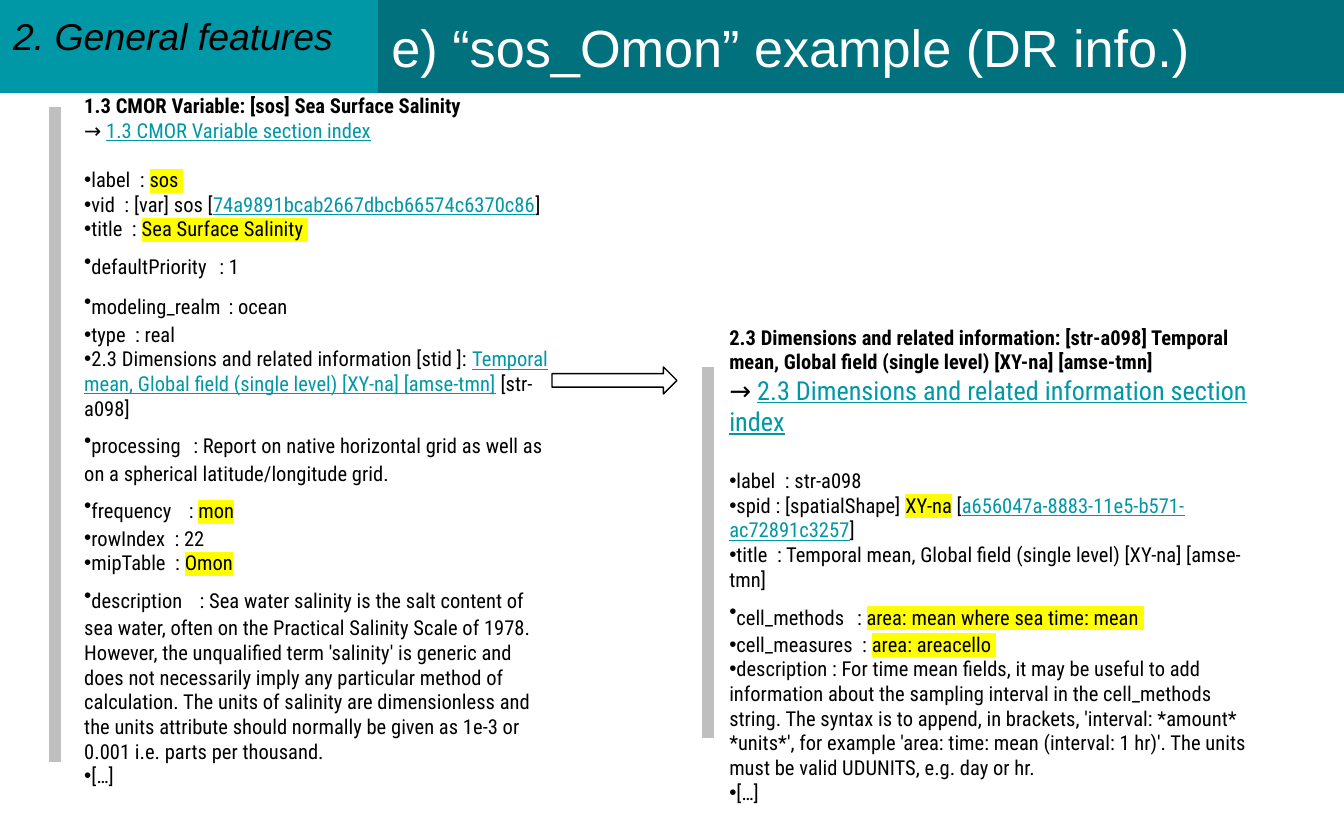
import pptx
import pptx.dml.color
import pptx.enum.shapes
import pptx.enum.text
import pptx.oxml.ns
import pptx.util
from lxml import etree

RGBColor = pptx.dml.color.RGBColor
BLACK = RGBColor(0x00, 0x00, 0x00)
WHITE = RGBColor(0xFF, 0xFF, 0xFF)
TEAL = RGBColor(0x00, 0x97, 0xA7)
DARK_TEAL = RGBColor(0x00, 0x71, 0x7D)
GREY = RGBColor(0xBF, 0xBF, 0xBF)
YELLOW = RGBColor(0xFF, 0xFF, 0x00)

BODY_FONT = "Roboto Condensed"
TITLE_FONT = "Arial"
BODY_SIZE = 11
WIDE_SIZE = 18
PLAIN, BOLD, LINK, MARK, WIDE = "plain", "bold", "link", "mark", "wide"
GAP = (" ", WIDE)

VARIABLE_INDEX = [("→ ", PLAIN), ("1.3 CMOR Variable section index", LINK)]
VARIABLE_ITEMS = [
    [("label  : ", PLAIN), ("sos ", MARK)],
    [("vid  : [var] sos [", PLAIN), ("74a9891bcab2667dbcb66574c6370c86", LINK), ("]", PLAIN)],
    [("title  : ", PLAIN), ("Sea Surface Salinity ", MARK)],
    [("defaultPriority ", PLAIN), GAP, (": 1", PLAIN)],
    [("modeling_realm", PLAIN), GAP, (": ocean", PLAIN)],
    [("type  : real", PLAIN)],
    [("2.3 Dimensions and related information [stid ]: ", PLAIN),
     ("Temporal mean, Global field (single level) [XY-na] [amse-tmn]", LINK),
     (" [str-a098]", PLAIN)],
    [("processing ", PLAIN), GAP,
     (": Report on native horizontal grid as well as on a spherical "
      "latitude/longitude grid.", PLAIN)],
    [("frequency  ", PLAIN), GAP, (": ", PLAIN), ("mon", MARK), (" ", PLAIN)],
    [("rowIndex  : 22", PLAIN)],
    [("mipTable  : ", PLAIN), ("Omon", MARK), (" ", PLAIN)],
    [("description  ", PLAIN), GAP,
     (": Sea water salinity is the salt content of sea water, often on the Practical "
      "Salinity Scale of 1978. However, the unqualified term 'salinity' is generic and "
      "does not necessarily imply any particular method of calculation. The units of "
      "salinity are dimensionless and the units attribute should normally be given as "
      "1e-3 or 0.001 i.e. parts per thousand.", PLAIN)],
    [("[…]", PLAIN)],
]

DIMENSION_INDEX = [("→ ", PLAIN),
                   ("2.3 Dimensions and related information section index", LINK)]
DIMENSION_ITEMS = [
    [("label  : str-a098", PLAIN)],
    [("spid : [spatialShape] ", PLAIN), ("XY-na", MARK), (" [", PLAIN),
     ("a656047a-8883-11e5-b571-ac72891c3257", LINK), ("]", PLAIN)],
    [("title  : Temporal mean, Global field (single level) [XY-na] [amse-tmn]", PLAIN)],
    [("cell_methods ", PLAIN), GAP, (": ", PLAIN), ("area: mean where sea time: mean ", MARK)],
    [("cell_measures  : ", PLAIN), ("area: areacello ", MARK)],
    [("description : For time mean fields, it may be useful to add information about the "
      "sampling interval in the cell_methods string. The syntax is to append, in brackets, "
      "'interval: *amount* *units*', for example 'area: time: mean (interval: 1 hr)'. The "
      "units must be valid UDUNITS, e.g. day or hr.", PLAIN)],
    [("[…]", PLAIN)],
]


def px(value):
    return pptx.util.Emu(round(value * 914400 / 134.4))


def add_element(parent, tag, **attributes):
    return etree.SubElement(parent, pptx.oxml.ns.qn(tag), **attributes)


def format_run(run, size, color, font=BODY_FONT):
    run.font.size = pptx.util.Pt(size)
    run.font.name = font
    run.font.color.rgb = color


def highlight(run):
    properties = run.font._element
    mark = add_element(properties, "a:highlight")
    add_element(mark, "a:srgbClr", val=str(YELLOW))
    properties.find(pptx.oxml.ns.qn("a:solidFill")).addnext(mark)


def fill_paragraph(paragraph, parts, size=BODY_SIZE):
    for text, style in parts:
        run = paragraph.add_run()
        run.text = text
        format_run(run, WIDE_SIZE if style == WIDE else size, TEAL if style == LINK else BLACK)
        run.font.bold = style == BOLD
        run.font.underline = style == LINK
        if style == MARK:
            highlight(run)


def add_trailing_break(paragraph, size):
    paragraph.add_line_break()
    size_value = str(size * 100)
    add_element(paragraph._p[-1], "a:rPr", sz=size_value)
    add_element(paragraph._p, "a:endParaRPr", sz=size_value)


def add_bullet(paragraph):
    properties = paragraph._p.get_or_add_pPr()
    properties.set("marL", "0")
    properties.set("indent", "0")
    add_element(properties, "a:buFont", typeface="Arial")
    add_element(properties, "a:buChar", char="•")


def add_record(slide, box, heading, index, index_size, items):
    text_frame = slide.shapes.add_textbox(*map(px, box)).text_frame
    text_frame.word_wrap = True
    text_frame.vertical_anchor = pptx.enum.text.MSO_ANCHOR.MIDDLE
    text_frame.auto_size = pptx.enum.text.MSO_AUTO_SIZE.SHAPE_TO_FIT_TEXT
    fill_paragraph(text_frame.paragraphs[0], [(heading, BOLD)])
    index_paragraph = text_frame.add_paragraph()
    fill_paragraph(index_paragraph, index, index_size)
    add_trailing_break(index_paragraph, index_size)
    for item in items:
        paragraph = text_frame.add_paragraph()
        add_bullet(paragraph)
        fill_paragraph(paragraph, item)


def add_side_rule(slide, x, top, bottom):
    rule = slide.shapes.add_connector(
        pptx.enum.shapes.MSO_CONNECTOR.STRAIGHT, px(x), px(top), px(x), px(bottom))
    rule.line.color.rgb = GREY
    rule.line.width = pptx.util.Pt(6)
    add_element(rule._element.spPr, "a:effectLst")


def add_block_arrow(slide, box):
    arrow = slide.shapes.add_shape(pptx.enum.shapes.MSO_SHAPE.RIGHT_ARROW, *map(px, box))
    arrow.shadow.inherit = False
    arrow.fill.solid()
    arrow.fill.fore_color.rgb = WHITE
    arrow.line.color.rgb = BLACK
    arrow.line.width = pptx.util.Pt(0.75)


def format_banner(shape, box, fill, text, size, color, anchor):
    shape.left, shape.top, shape.width, shape.height = map(px, box)
    shape.fill.solid()
    shape.fill.fore_color.rgb = fill
    shape.line.fill.background()
    text_frame = shape.text_frame
    text_frame.text = text
    text_frame.word_wrap = True
    text_frame.auto_size = pptx.enum.text.MSO_AUTO_SIZE.NONE
    text_frame.vertical_anchor = anchor
    text_frame.margin_left = text_frame.margin_right = pptx.util.Inches(0.1)
    text_frame.margin_top = text_frame.margin_bottom = pptx.util.Inches(0.1)
    paragraph = text_frame.paragraphs[0]
    paragraph.alignment = pptx.enum.text.PP_ALIGN.LEFT
    format_run(paragraph.runs[0], size, color, TITLE_FONT)
    return paragraph.runs[0]


def main():
    presentation = pptx.Presentation()
    presentation.slide_width, presentation.slide_height = px(1344), px(840)
    slide = presentation.slides.add_slide(presentation.slide_layouts[5])

    add_record(slide, (71, 108, 493, 665), "1.3 CMOR Variable: [sos] Sea Surface Salinity",
               VARIABLE_INDEX, BODY_SIZE, VARIABLE_ITEMS)
    add_record(slide, (716, 356, 564, 417),
               "2.3 Dimensions and related information: [str-a098] Temporal mean, "
               "Global field (single level) [XY-na] [amse-tmn]",
               DIMENSION_INDEX, 14, DIMENSION_ITEMS)
    add_block_arrow(slide, (552, 367, 125, 27))
    add_side_rule(slide, 708, 367, 738)
    add_side_rule(slide, 55, 107, 762)

    format_banner(slide.shapes.title, (378, 0, 966, 93), DARK_TEAL,
                  "e) “sos_Omon” example (DR info.)", 28, WHITE,
                  pptx.enum.text.MSO_ANCHOR.MIDDLE)
    section = slide.shapes.add_shape(
        pptx.enum.shapes.MSO_SHAPE.RECTANGLE, 0, 0, px(378), px(93))
    section.shadow.inherit = False
    section_run = format_banner(section, (0, 0, 378, 93), TEAL, "2. General features", 20,
                                BLACK, pptx.enum.text.MSO_ANCHOR.TOP)
    section_run.font.italic = True
    presentation.save("out.pptx")


if __name__ == "__main__":
    main()
